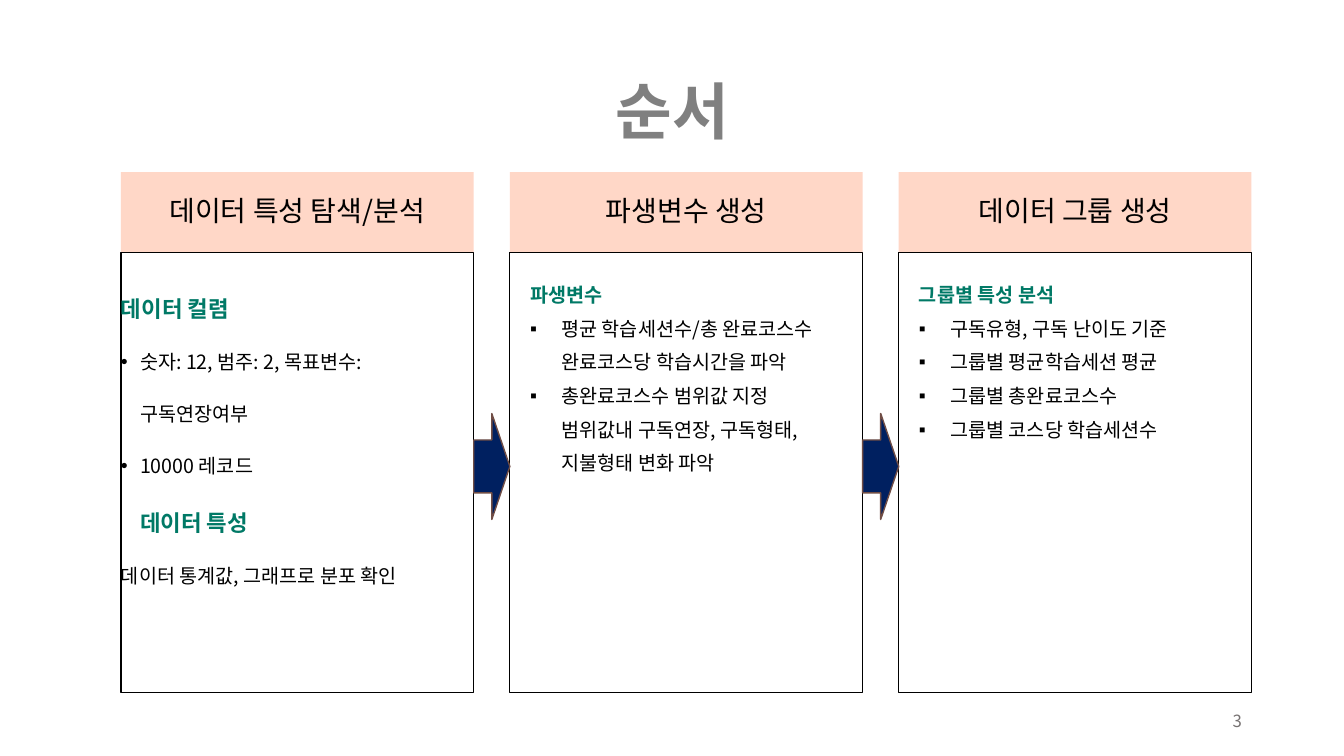
"""Build the three-step agenda slide of a data analysis deck."""
import dataclasses

import lxml.etree
import pptx
import pptx.dml.color
import pptx.enum.shapes
import pptx.enum.text
import pptx.oxml.ns
import pptx.util

Cm = pptx.util.Cm
Pt = pptx.util.Pt
qn = pptx.oxml.ns.qn
RGB = pptx.dml.color.RGBColor.from_string
SHAPE = pptx.enum.shapes.MSO_SHAPE
ALIGN = pptx.enum.text.PP_ALIGN
ANCHOR = pptx.enum.text.MSO_ANCHOR


@dataclasses.dataclass(frozen=True)
class Theme:
    font: str = "Noto Sans CJK KR"
    title: str = "808080"
    text: str = "000000"
    heading: str = "007966"
    banner: str = "FFD7C7"
    arrow: str = "002060"
    arrow_line: str = "704D45"
    page: str = "767171"
    title_size: int = 44
    banner_size: int = 20
    text_size: int = 14
    page_size: int = 12


theme = Theme()


def style_span(span, size, color, bold=False):
    span.font.name = theme.font
    span.font.size = Pt(size)
    span.font.bold = bold
    span.font.color.rgb = RGB(color)
    properties = span.font._element
    lxml.etree.SubElement(properties, qn("a:ea"), typeface=theme.font)


def add_box(kind, left, top, width, height, fill=None, line=None, weight=0.75):
    box = slide.shapes.add_shape(kind, Cm(left), Cm(top), Cm(width), Cm(height))
    box.shadow.inherit = False
    box.text_frame.word_wrap = True
    if fill:
        box.fill.solid()
        box.fill.fore_color.rgb = RGB(fill)
    else:
        box.fill.background()
    if line:
        box.line.color.rgb = RGB(line)
        box.line.width = Pt(weight)
    else:
        box.line.fill.background()
    return box


deck = pptx.Presentation()
deck.slide_width, deck.slide_height = Cm(33.87), Cm(19.05)
slide = deck.slides.add_slide(deck.slide_layouts[6])

LEFT, PITCH, WIDTH = 3.05, 9.8, 8.89
BANNER_TOP, BANNER_HEIGHT, BODY_HEIGHT = 4.34, 2.03, 11.07
BODY_TOP = BANNER_TOP + BANNER_HEIGHT
ARROW_HEIGHT = 2.67

labels = [
    ("순서", 2.34, 1.02, 29.21, 2.95, ANCHOR.BOTTOM, ALIGN.CENTER,
     theme.title_size, theme.title, True),
    ("3", 23.93, 17.65, 7.62, 1.02, ANCHOR.MIDDLE, ALIGN.RIGHT,
     theme.page_size, theme.page, False),
]
for text, left, top, width, height, anchor, align, size, color, bold in labels:
    box = slide.shapes.add_textbox(Cm(left), Cm(top), Cm(width), Cm(height))
    frame = box.text_frame
    frame.word_wrap = True
    frame.vertical_anchor = anchor
    frame.text = text
    para = frame.paragraphs[0]
    para.alignment = align
    if bold:
        frame.margin_bottom = Cm(0.25)
        para.line_spacing = 0.9
    style_span(para.runs[0], size, color, bold)

headings = {"데이터 컬렴", "데이터 특성", "파생변수", "그룹별 특성 분석"}
sections = [
    ("데이터 특성 탐색/분석", 0, 0.25, 2.2, 0.48, 16, [
        ("", "데이터 컬렴"),
        ("•", "숫자: 12, 범주: 2, 목표변수:구독연장여부"),
        ("•", "10000 레코드\n데이터 특성"),
        ("", "데이터 통계값, 그래프로 분포 확인"),
    ]),
    ("파생변수 생성", 0.51, 0.51, Pt(24), 0.79, 14, [
        ("", "파생변수"),
        ("▪", "평균 학습세션수/총 완료코스수\n완료코스당 학습시간을 파악"),
        ("▪", "총완료코스수 범위값 지정\n범위값내 구독연장, 구독형태, 지불형태 변화 파악"),
    ]),
    ("데이터 그룹 생성", 0.51, 0.51, Pt(24), 0.79, 14, [
        ("", "그룹별 특성 분석"),
        ("▪", "구독유형, 구독 난이도 기준"),
        ("▪", "그룹별 평균학습세션 평균"),
        ("▪", "그룹별 총완료코스수"),
        ("▪", "그룹별 코스당 학습세션수"),
    ]),
]

for column, section in enumerate(sections):
    title, inset_left, inset_top, spacing, indent, heading_size, items = section
    left = LEFT + column * PITCH

    banner = add_box(SHAPE.RECTANGLE, left, BANNER_TOP, WIDTH, BANNER_HEIGHT,
                     fill=theme.banner)
    banner.text_frame.vertical_anchor = ANCHOR.MIDDLE
    banner.text_frame.text = title
    para = banner.text_frame.paragraphs[0]
    para.alignment = ALIGN.CENTER
    para.line_spacing = 0.9
    para.space_before = Pt(10)
    style_span(para.runs[0], theme.banner_size, theme.text)

    body = add_box(SHAPE.RECTANGLE, left, BODY_TOP, WIDTH, BODY_HEIGHT,
                   line=theme.text)
    frame = body.text_frame
    frame.vertical_anchor = ANCHOR.TOP
    frame.margin_left, frame.margin_top = Cm(inset_left), Cm(inset_top)
    frame.margin_right, frame.margin_bottom = Cm(0.51), Cm(0.13)
    for row, (bullet, text) in enumerate(items):
        para = frame.add_paragraph() if row else frame.paragraphs[0]
        para.text = text
        para.alignment = ALIGN.LEFT
        para.line_spacing = spacing
        properties = para._p.get_or_add_pPr()
        if row:
            properties.set("marL", str(Cm(indent)))
            properties.set("indent", str(-Cm(indent)))
        if bullet:
            lxml.etree.SubElement(properties, qn("a:buFont"), typeface="Arial")
            lxml.etree.SubElement(properties, qn("a:buChar"), char=bullet)
        for line_break in para._p.findall(qn("a:br")):
            lxml.etree.SubElement(line_break, qn("a:rPr"),
                                  sz=str(theme.text_size * 100))
        for span in para.runs:
            if span.text in headings:
                style_span(span, heading_size, theme.heading, True)
            else:
                style_span(span, theme.text_size, theme.text)

for column in range(len(sections) - 1):
    add_box(SHAPE.RIGHT_ARROW, LEFT + column * PITCH + WIDTH,
            BODY_TOP + (BODY_HEIGHT - ARROW_HEIGHT) / 2 - 0.15,
            PITCH - WIDTH, ARROW_HEIGHT,
            fill=theme.arrow, line=theme.arrow_line, weight=1)

deck.save("out.pptx")
